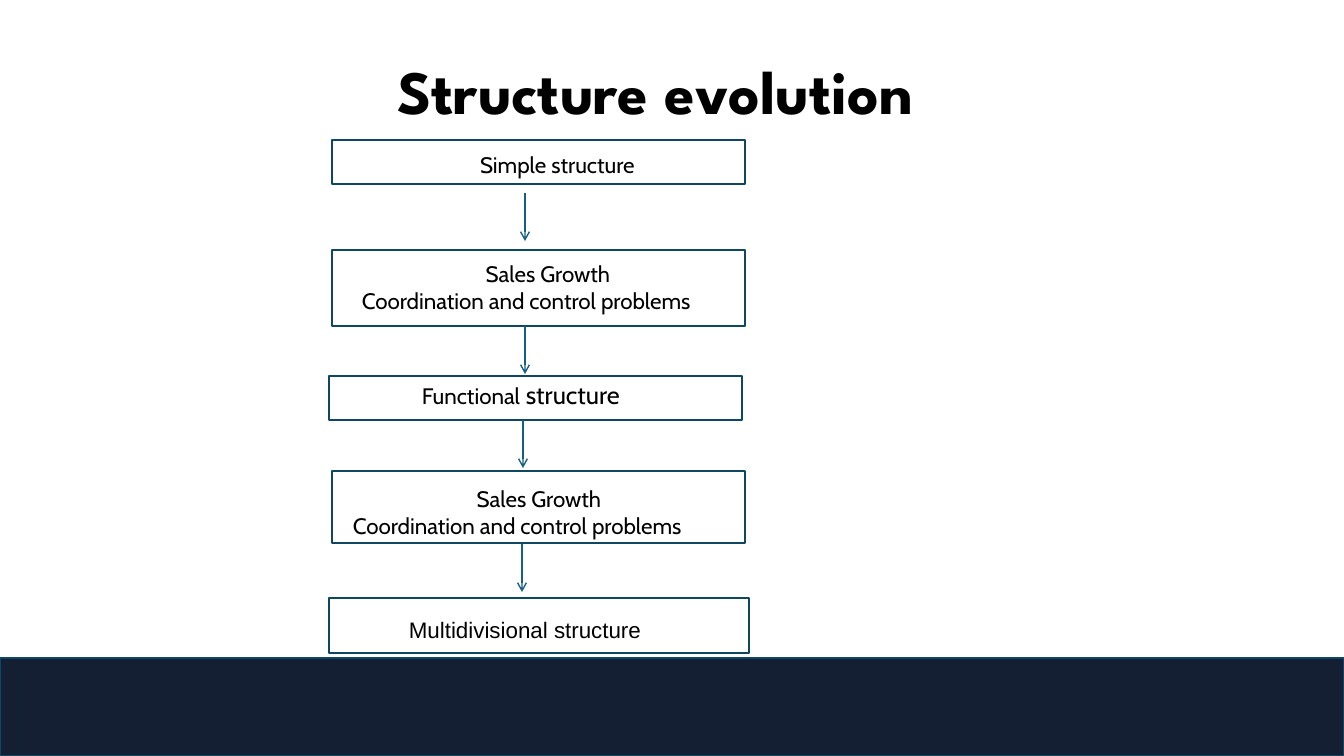
"""Build the "Structure evolution" slide: five stages linked by downward arrows."""
from dataclasses import dataclass

from lxml import etree
from pptx import Presentation
from pptx.dml.color import RGBColor
from pptx.enum.shapes import MSO_CONNECTOR, MSO_SHAPE
from pptx.enum.text import MSO_ANCHOR, MSO_AUTO_SIZE, PP_ALIGN
from pptx.oxml.ns import qn
from pptx.util import Emu, Pt

RECTANGLE = MSO_SHAPE.RECTANGLE
STRAIGHT = MSO_CONNECTOR.STRAIGHT
LEFT, CENTER = PP_ALIGN.LEFT, PP_ALIGN.CENTER
TOP, MIDDLE = MSO_ANCHOR.TOP, MSO_ANCHOR.MIDDLE
GROW = MSO_AUTO_SIZE.SHAPE_TO_FIT_TEXT
TITLE_ONLY = 5
EMU_PER_INCH, PX_PER_INCH = 914400, 100.8


@dataclass(frozen=True)
class Theme:
    ink: str = "000000"
    band: str = "141F34"
    outline: str = "104760"
    arrow: str = "156082"
    title_font: str = "League Spartan"
    label_font: str = "Cabin"
    last_font: str = "Arial"
    title_size: int = 44
    label_size: int = 16
    large_size: int = 18
    outline_width: float = 1.5
    arrow_width: float = 1


THEME = Theme()
SLIDE = (1344, 756)
BAND = (0, 658, 1344, 98)
TITLE = ("Structure evolution", (76, 48, 1159, 93))

PRESSURES = [(CENTER, [("Sales Growth", {})]),
             (LEFT, [("Coordination and control problems", {})])]
STAGES = [
    {"frame": (332, 140, 413, 44), "label_at": (393, 146, 329, 37),
     "lines": [(CENTER, [("Simple structure", {})])]},
    {"frame": (332, 250, 413, 76), "label_at": (352, 255, 392, 64),
     "lines": PRESSURES},
    {"frame": (329, 376, 413, 44), "label_at": (412, 374, 272, 40),
     "lines": [(LEFT, [("Functional", {}),
                       (" structure", {"size": THEME.large_size})])]},
    {"frame": (332, 471, 413, 72), "label_at": (343, 480, 392, 64),
     "lines": PRESSURES},
    {"frame": (329, 598, 420, 55), "label_at": (399, 611, 299, 64),
     "lines": [(LEFT, [("Multidivisional structure",
                        {"font": THEME.last_font})])]},
]
ARROW_LENGTH = 48
ARROW_STARTS = [(525, 193), (525, 326), (523, 420), (522, 544)]


def px(length):
    return Emu(round(length * EMU_PER_INCH / PX_PER_INCH))


def place(lengths):
    return [px(length) for length in lengths]


def color(code):
    return RGBColor.from_string(code)


def write(frame, lines, *, font=THEME.label_font, size=THEME.label_size,
          bold=False, anchor=TOP, spacing=1.0):
    frame.word_wrap = True
    frame.vertical_anchor = anchor
    for index, (alignment, runs) in enumerate(lines):
        paragraph = frame.add_paragraph() if index else frame.paragraphs[0]
        paragraph.alignment = alignment
        paragraph.line_spacing = spacing
        for text, changes in runs:
            run = paragraph.add_run()
            run.text = text
            run.font.name = changes.get("font", font)
            run.font.size = Pt(changes.get("size", size))
            run.font.bold = bold
            run.font.color.rgb = color(THEME.ink)


def add_box(slide, bounds, fill=None):
    box = slide.shapes.add_shape(RECTANGLE, *place(bounds))
    box.shadow.inherit = False
    if fill:
        box.fill.solid()
        box.fill.fore_color.rgb = color(fill)
    else:
        box.fill.background()
    box.line.color.rgb = color(THEME.outline)
    box.line.width = Pt(THEME.outline_width)


def add_arrow(slide, x, y):
    arrow = slide.shapes.add_connector(
        STRAIGHT, *place((x, y, x, y + ARROW_LENGTH)))
    arrow.line.color.rgb = color(THEME.arrow)
    arrow.line.width = Pt(THEME.arrow_width)
    etree.SubElement(arrow.line._get_or_add_ln(), qn("a:tailEnd"), type="arrow")
    etree.SubElement(arrow._element.spPr, qn("a:effectLst"))


def main():
    deck = Presentation()
    deck.slide_width, deck.slide_height = place(SLIDE)
    slide = deck.slides.add_slide(deck.slide_layouts[TITLE_ONLY])

    add_box(slide, BAND, THEME.band)

    heading, bounds = TITLE
    title = slide.shapes.title
    title.left, title.top, title.width, title.height = place(bounds)
    write(title.text_frame, [(CENTER, [(heading, {})])], font=THEME.title_font,
          size=THEME.title_size, bold=True, anchor=MIDDLE, spacing=0.9)

    for stage in STAGES:
        add_box(slide, stage["frame"])
        label = slide.shapes.add_textbox(*place(stage["label_at"]))
        label.text_frame.auto_size = GROW
        write(label.text_frame, stage["lines"])

    for x, y in ARROW_STARTS:
        add_arrow(slide, x, y)

    deck.save("out.pptx")


if __name__ == "__main__":
    main()
